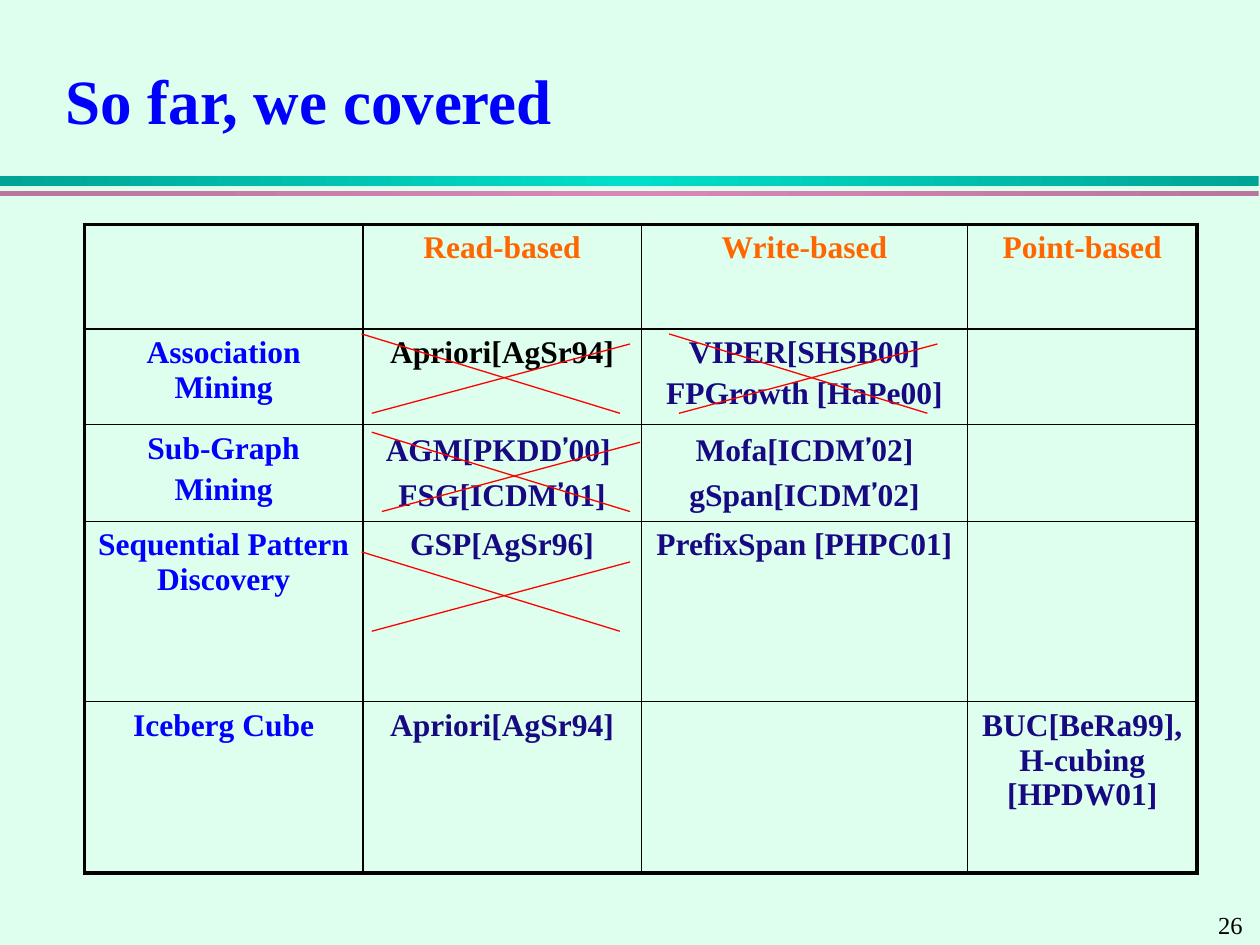
"""Build the slide that sums up the mining methods covered so far."""
from lxml import etree
from pptx import Presentation, util as u
from pptx.dml.color import RGBColor
from pptx.enum import shapes, text
from pptx.oxml import parse_xml
from pptx.oxml.ns import nsdecls, qn

BACKGROUND = RGBColor(0xDE, 0xFE, 0xEE)
BLUE = RGBColor(0x00, 0x00, 0xFF)
NAVY = RGBColor(0x17, 0x09, 0x81)
ORANGE = RGBColor(0xFF, 0x66, 0x00)
BLACK = RGBColor(0x00, 0x00, 0x00)
RED = RGBColor(0xFF, 0x00, 0x00)
TEAL = RGBColor(0x00, 0xDF, 0xCA)
PINK = RGBColor(0xD9, 0x89, 0xB8)

GRID_COLUMNS, GRID_ROWS = 100, 75
FONT, QUOTE_FONT, QUOTE = "Times New Roman", "Cabin", "’"
THIN, THICK = 1, 2.25

COLUMN_WIDTHS = [22.1, 22.1, 25.9, 18.2]
ROW_HEIGHTS = [8.3, 7.6, 7.7, 14.3, 13.6]
METHODS = [
    ["", "Read-based", "Write-based", "Point-based"],
    ["Association Mining", "Apriori[AgSr94]", "VIPER[SHSB00]\nFPGrowth [HaPe00]", ""],
    ["Sub-Graph\nMining", "AGM[PKDD’00] \nFSG[ICDM’01]", "Mofa[ICDM’02]\ngSpan[ICDM’02]", ""],
    ["Sequential Pattern Discovery", "GSP[AgSr96]", "PrefixSpan [PHPC01]", ""],
    ["Iceberg Cube", "Apriori[AgSr94]", "", "BUC[BeRa99], H-cubing [HPDW01]"],
]
CROSSES = [(28.7, 26.5), (53.1, 26.5), (28.7, 43.8), (29.5, 34.3)]


def write(frame, content, size=18, color=BLACK, bold=True, align=text.PP_ALIGN.CENTER):
    """Write lines of text, with each quote mark in its own font."""
    for index, line in enumerate(content.split("\n")):
        paragraph = frame.add_paragraph() if index else frame.paragraphs[0]
        paragraph.alignment = align
        if index:
            paragraph.space_before = u.Pt(size * 0.2)
        for part in line.replace(QUOTE, f"\n{QUOTE}\n").split("\n"):
            run = paragraph.add_run()
            run.text = part
            run.font.name = QUOTE_FONT if part == QUOTE else FONT
            run.font.size = u.Pt(size)
            run.font.bold = bold
            run.font.color.rgb = color


def cell_color(row, column):
    """Return the text colour for a place in the table."""
    if row == 0:
        return ORANGE
    if column == 0:
        return BLUE
    return BLACK if (row, column) == (1, 1) else NAVY


class Deck:
    """Hold the presentation, its grid and the current slide."""

    def __init__(self):
        """Start a presentation with one title-only slide."""
        self.presentation = Presentation()
        self.presentation.slide_width = u.Inches(10)
        self.presentation.slide_height = u.Inches(7.5)
        self.column = self.presentation.slide_width / GRID_COLUMNS
        self.row = self.presentation.slide_height / GRID_ROWS
        self.slide = self.presentation.slides.add_slide(self.presentation.slide_layouts[5])
        self.slide.background.fill.solid()
        self.slide.background.fill.fore_color.rgb = BACKGROUND

    def place(self, left, top, width, height):
        """Turn grid columns and rows into lengths."""
        return (round(left * self.column), round(top * self.row),
                round(width * self.column), round(height * self.row))

    def title(self, content, *box):
        """Move and fill the title placeholder."""
        title = self.slide.shapes.title
        title.left, title.top, title.width, title.height = self.place(*box)
        title.text_frame.vertical_anchor = text.MSO_ANCHOR.MIDDLE
        write(title.text_frame, content, size=36, color=BLUE, align=text.PP_ALIGN.LEFT)

    def band(self, color, shade, *box):
        """Add a bar that darkens towards both ends."""
        band = self.slide.shapes.add_shape(shapes.MSO_SHAPE.RECTANGLE, *self.place(*box))
        band.shadow.inherit = False
        band.line.fill.background()
        stops = "".join(
            f'<a:gs pos="{position * 1000}"><a:srgbClr val="{color}">'
            f'<a:shade val="{amount * 1000}"/></a:srgbClr></a:gs>'
            for position, amount in ((0, shade), (50, 100), (100, shade)))
        gradient = parse_xml(
            f'<a:gradFill {nsdecls("a")} rotWithShape="1"><a:gsLst>{stops}</a:gsLst>'
            '<a:lin ang="0" scaled="1"/></a:gradFill>')
        band._element.spPr.find(qn("a:prstGeom")).addnext(gradient)

    def label(self, content, *box):
        """Add a small plain text box."""
        label = self.slide.shapes.add_textbox(*self.place(*box))
        label.text_frame.word_wrap = False
        write(label.text_frame, content, size=14, bold=False, align=text.PP_ALIGN.LEFT)

    def borders(self, cell, **widths):
        """Draw the four borders of a cell."""
        properties = cell._tc.get_or_add_tcPr()
        for side, width in widths.items():
            properties.append(parse_xml(
                f'<a:ln{side} {nsdecls("a")} w="{u.Pt(width)}"><a:solidFill>'
                f'<a:srgbClr val="{BLACK}"/></a:solidFill></a:ln{side}>'))

    def table(self, rows, widths, heights, left, top):
        """Add a table with thin inner and thick outer borders."""
        box = self.place(left, top, sum(widths), sum(heights))
        table = self.slide.shapes.add_table(len(heights), len(widths), *box).table
        table.first_row = table.horz_banding = False
        for column, width in zip(table.columns, widths):
            column.width = round(width * self.column)
        for row, height in zip(table.rows, heights):
            row.height = round(height * self.row)
        last_row, last_column = len(heights) - 1, len(widths) - 1
        for i, row in enumerate(rows):
            for j, content in enumerate(row):
                cell = table.cell(i, j)
                self.borders(cell,
                             L=THIN if j else THICK,
                             R=THICK if j == last_column else THIN,
                             T=THIN if i else THICK,
                             B=THICK if i == last_row else THIN)
                cell.fill.background()
                if content:
                    write(cell.text_frame, content, color=cell_color(i, j))

    def line(self, left, top, right, bottom):
        """Add a thin red line."""
        ends = self.place(left, top, right, bottom)
        line = self.slide.shapes.add_connector(shapes.MSO_CONNECTOR.STRAIGHT, *ends)
        line.line.color.rgb = RED
        line.line.width = u.Pt(0.75)
        etree.SubElement(line._element.spPr, qn("a:effectLst"))

    def cross(self, left, top):
        """Strike out a cell with two lines."""
        self.line(left + 0.8, top + 6.3, left + 21.3, top + 0.8)
        self.line(left + 20.5, top + 6.3, left, top)


def main():
    """Build and save the slide."""
    deck = Deck()
    deck.band(TEAL, 50, 0, 14, 99.9, 0.8)
    deck.band(PINK, 70, 0, 15.2, 99.9, 0.4)
    deck.label("26", 95.7, 71.7, 4.3, 3.3)
    deck.title("So far, we covered", 4.2, 4.2, 91.7, 7.3)
    deck.table(METHODS, COLUMN_WIDTHS, ROW_HEIGHTS, 6.7, 17.8)
    for origin in CROSSES:
        deck.cross(*origin)
    deck.presentation.save("out.pptx")


if __name__ == "__main__":
    main()
